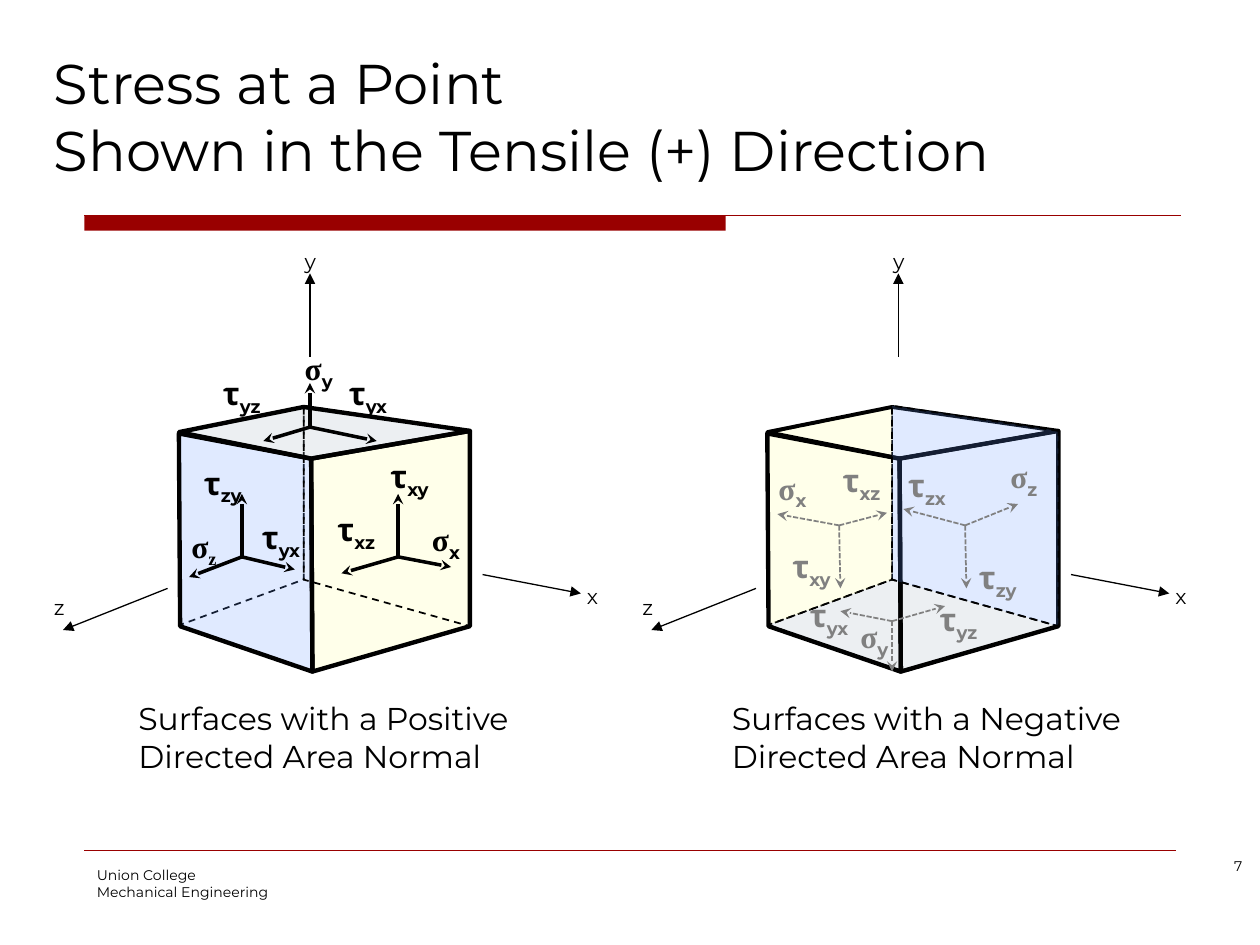
from pptx import Presentation
from pptx.dml.color import RGBColor
from pptx.enum.dml import MSO_LINE
from pptx.enum.shapes import MSO_CONNECTOR, MSO_SHAPE
from pptx.enum.text import MSO_ANCHOR, MSO_AUTO_SIZE, PP_ALIGN
from pptx.oxml.ns import qn
from pptx.util import Emu, Pt
from lxml.etree import SubElement

PX = 9144  # 100 px to the inch
CUBE_SHIFT = 467
COLORS = {"black": "000000", "gray": "808080", "red": "990000",
          "blue": "6699FF", "yellow": "FFFF99", "slate": "A3B2C1"}
SYMBOL_FONTS = {"σ": "Times New Roman", "τ": "Montserrat"}
SYMBOL_HEIGHTS = {"σ": 40, "τ": 71}

FACES = {
    "left": [(142, 344), (247, 364), (248, 533), (143, 497)],
    "right": [(247, 364), (373, 342), (373, 497), (248, 533)],
    "top": [(142, 343), (247, 364), (373, 342), (241, 323)],
    "bottom": [(143, 496), (248, 534), (373, 497), (241, 460)],
    "back left": [(241, 323), (142, 344), (143, 496), (241, 460)],
    "back right": [(373, 342), (241, 322), (241, 460), (373, 497)],
}

# Axis name, arrow start, arrow end, label position
AXES = [("y", (246, 283), (246, 217), (232, 192)),
        ("x", (383, 456), (461, 471), (456, 458)),
        ("z", (133, 467), (50, 500), (33, 467))]

# Face, fill, line width, dash; back to front
POSITIVE_FACES = [("right", "yellow", 2.5, None),
                  ("back left", None, 1, MSO_LINE.DASH),
                  ("left", "blue", 2.5, None),
                  ("top", "slate", 2.5, None),
                  ("back right", None, 1, MSO_LINE.DASH)]
NEGATIVE_FACES = [("bottom", "slate", 1, MSO_LINE.DASH),
                  ("back left", "yellow", 1, MSO_LINE.DASH),
                  ("left", None, 2.5, None),
                  ("right", None, 2.5, None),
                  ("top", None, 2.25, None),
                  ("back right", "blue", 1, MSO_LINE.DASH)]

# Common start of three stress arrows, and their ends
POSITIVE_STRESSES = [((246, 339), [(209, 350), (299, 350), (246, 304)]),
                     ((192, 442), [(150, 458), (234, 452), (192, 392)]),
                     ((316, 442), [(271, 455), (358, 450), (316, 392)])]
NEGATIVE_STRESSES = [((708, 493), [(750, 481), (667, 485), (708, 533)]),
                     ((766, 417), [(808, 400), (717, 404), (767, 467)]),
                     ((666, 417), [(704, 407), (617, 408), (667, 467)])]

# Symbol, subscript, left, top, width, wrap
POSITIVE_LABELS = [("τ", "xz", 258, 400, 52, False), ("σ", "x", 333, 408, 45, False),
                   ("σ", "y", 232, 272, 44, False), ("σ", "z", 142, 413, 42, False),
                   ("τ", "xy", 300, 358, 53, False), ("τ", "yz", 167, 292, 58, True),
                   ("τ", "yx", 198, 406, 53, False), ("τ", "zy", 152, 363, 51, False),
                   ("τ", "yx", 267, 292, 53, False)]
NEGATIVE_LABELS = [("σ", "y", 673, 485, 44, False), ("τ", "yx", 633, 468, 57, True),
                   ("τ", "xz", 659, 361, 53, False), ("σ", "x", 608, 367, 45, False),
                   ("σ", "z", 792, 358, 43, False), ("τ", "xy", 619, 429, 53, False),
                   ("τ", "yz", 736, 471, 64, True), ("τ", "zx", 711, 365, 53, False),
                   ("τ", "zy", 767, 438, 51, False)]


def rgb(color):
    return RGBColor.from_string(COLORS[color])


class SlidePainter:
    def __init__(self, slide, font="Montserrat"):
        self.shapes = slide.shapes
        self.font = font

    def text(self, words, left, top, width, height, size, color="black",
             wrap=True, grow=True, anchor=MSO_ANCHOR.TOP, align=PP_ALIGN.LEFT):
        box = self.shapes.add_textbox(*(Emu(n * PX) for n in (left, top, width, height)))
        frame = box.text_frame
        frame.text = words
        frame.word_wrap = wrap
        frame.auto_size = MSO_AUTO_SIZE.SHAPE_TO_FIT_TEXT if grow else MSO_AUTO_SIZE.NONE
        frame.vertical_anchor = anchor
        for para in frame.paragraphs:
            para.alignment = align
            for span in para.runs:
                span.font.name = self.font
                span.font.size = Pt(size)
                span.font.color.rgb = rgb(color)
        return box

    def stress_label(self, symbol, subscript, left, top, width, wrap, color):
        box = self.text(symbol, left, top, width, SYMBOL_HEIGHTS[symbol], 18, color, wrap)
        para = box.text_frame.paragraphs[0]
        para.add_run().text = subscript
        for span, font in zip(para.runs, (SYMBOL_FONTS[symbol], self.font)):
            span.font.name = font
            span.font.size = Pt(18)
            span.font.bold = True
            span.font.color.rgb = rgb(color)
        para.runs[1].font._element.set("baseline", "-25000")
        return para

    def line(self, start, end, width, color="black", head=None, dash=None):
        connector = self.shapes.add_connector(
            MSO_CONNECTOR.STRAIGHT, *(Emu(n * PX) for n in (*start, *end)))
        self.outline(connector.line, width, color, dash)
        if head:
            SubElement(connector.line._get_or_add_ln(), qn("a:tailEnd"), type=head)
        SubElement(connector._element.spPr, qn("a:effectLst"))

    def face(self, points, fill, width, dash):
        """Draw one cube face, unfilled or with a 20 % opaque fill."""
        builder = self.shapes.build_freeform(*points[0], scale=PX)
        builder.add_line_segments(points[1:], close=True)
        shape = builder.convert_to_shape()
        shape.shadow.inherit = False
        if fill:
            shape.fill.solid()
            shape.fill.fore_color.rgb = rgb(fill)
            tint = shape._element.spPr.find(qn("a:solidFill"))[0]
            SubElement(tint, qn("a:alpha"), val="20000")
        else:
            shape.fill.background()
        self.outline(shape.line, width, "black", dash)

    def bar(self, left, top, width, height, color):
        shape = self.shapes.add_shape(
            MSO_SHAPE.RECTANGLE, *(Emu(n * PX) for n in (left, top, width, height)))
        shape.shadow.inherit = False
        shape.fill.solid()
        shape.fill.fore_color.rgb = rgb(color)
        shape.line.fill.background()

    def outline(self, line, width, color, dash):
        line.width = Pt(width)
        line.color.rgb = rgb(color)
        if dash:
            line.dash_style = dash

    def cube(self, shift, faces):
        def moved(point):
            return point[0] + shift, point[1]

        for name, fill, width, dash in faces:
            self.face([moved(point) for point in FACES[name]], fill, width, dash)
        for name, start, end, place in AXES:
            self.line(moved(start), moved(end), 0.75, head="triangle")
            self.text(name, *moved(place), 33, 30, 12)

    def stresses(self, arrows, labels, color, width, dash=None):
        for start, ends in arrows:
            for end in ends:
                self.line(start, end, width, color, "stealth", dash)
        return [self.stress_label(*label, color) for label in labels]


def main():
    deck = Presentation()
    deck.slide_width, deck.slide_height = Emu(1000 * PX), Emu(750 * PX)
    painter = SlidePainter(deck.slides.add_slide(deck.slide_layouts[6]))

    painter.bar(67, 171, 509, 12, "red")
    painter.line((67, 171), (937, 171), 0.75, "red")
    painter.line((67, 675), (933, 675), 0.25, "red")
    painter.text("Union College\nMechanical Engineering", 67, 683, 208, 50, 8, grow=False)
    painter.text("7", 763, 676, 233, 40, 8, grow=False, align=PP_ALIGN.RIGHT)
    painter.text("Stress at a Point\vShown in the Tensile (+) Direction",
                 33, 17, 942, 133, 32, grow=False, anchor=MSO_ANCHOR.BOTTOM)

    painter.cube(0, POSITIVE_FACES)
    labels = painter.stresses(POSITIVE_STRESSES, POSITIVE_LABELS, "black", 2)
    sigma_z = labels[3]
    sigma_z.runs[1].font.name = SYMBOL_FONTS["σ"]
    painter.cube(CUBE_SHIFT, NEGATIVE_FACES)
    painter.stresses(NEGATIVE_STRESSES, NEGATIVE_LABELS, "gray", 1, MSO_LINE.SQUARE_DOT)

    for sign, left, width in (("Positive", 100, 354), ("Negative", 571, 367)):
        painter.text(f"Surfaces with a {sign}\nDirected Area Normal",
                     left, 550, width, 71, 18, wrap=False)
    deck.save("out.pptx")


if __name__ == "__main__":
    main()
